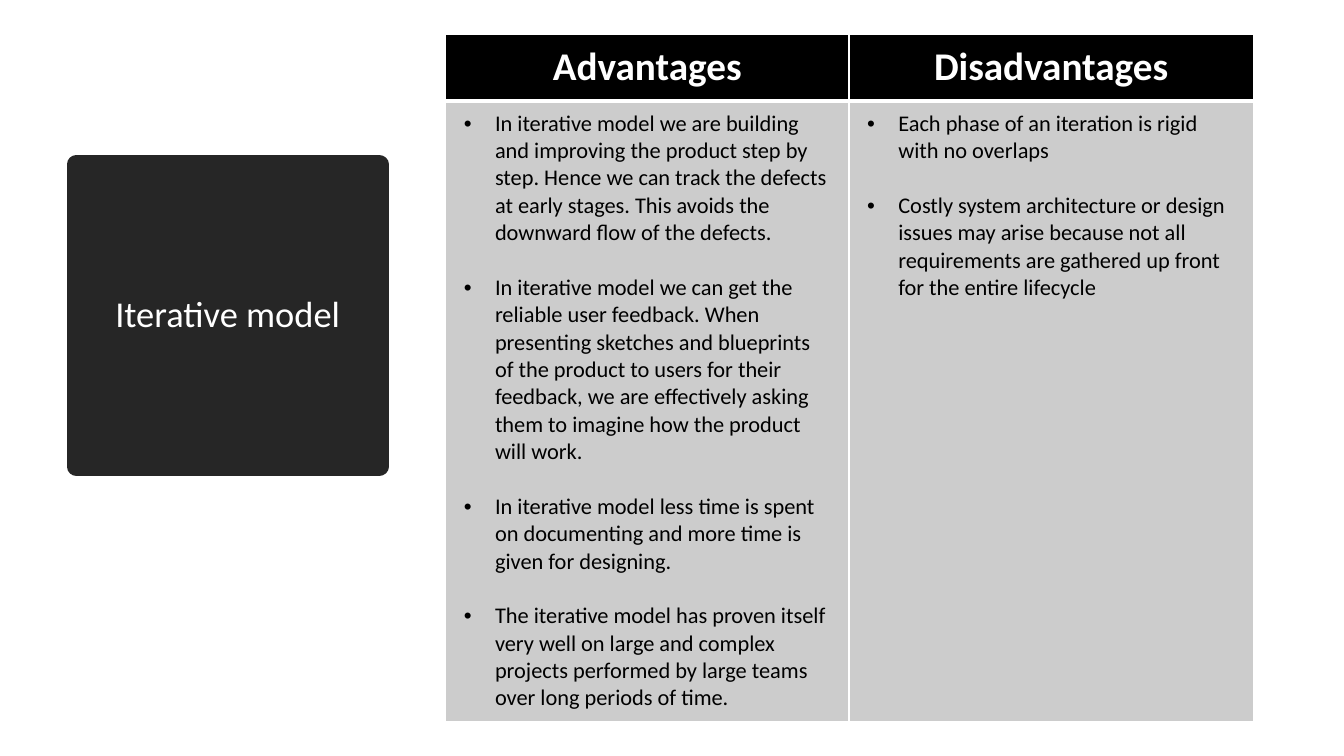
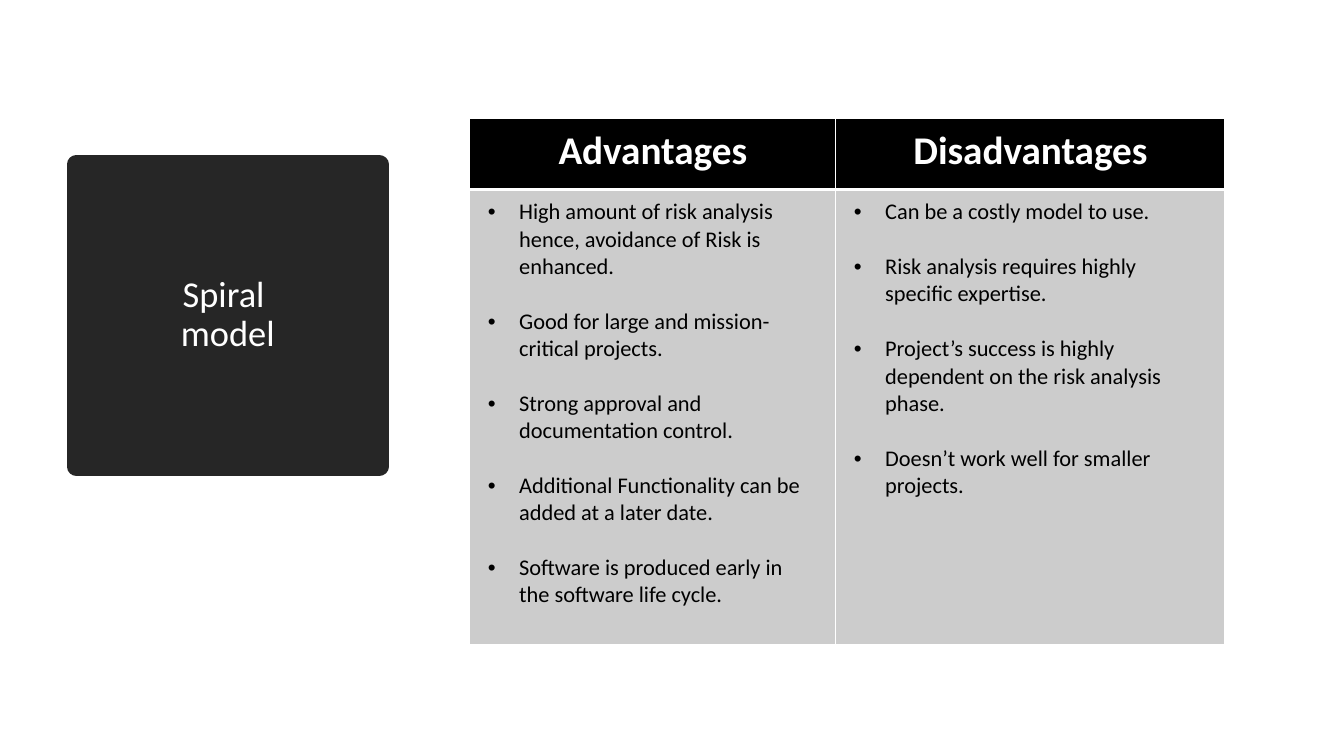
"""Build two slides that weigh the advantages and disadvantages of software process models."""
from lxml.etree import SubElement
from pptx import Presentation
from pptx.dml.color import RGBColor
from pptx.enum.text import MSO_ANCHOR as Anchor, PP_ALIGN as Align
from pptx.oxml.ns import qn
from pptx.util import Inches, Pt

COLORS = {"badge": "262626", "header": "000000", "body": "CCCCCC", "light": "FFFFFF", "dark": "000000"}
FONT = "Calibri"
HEADINGS = ("Advantages", "Disadvantages")
BULLET_INDENT = Inches(0.31)
BULLET_GAP = Pt(19.5)

MODELS = [
    {
        "title": "Iterative model",
        "corner": (4.42, 0.34), "columns": (4, 4.01), "rows": (0.66, 6.16),
        "points": [
            ["In iterative model we are building and improving the product step by step. Hence we can "
             "track the defects at early stages. This avoids the downward flow of the defects.",
             "In iterative model we can get the reliable user feedback. When presenting sketches and "
             "blueprints of the product to users for their feedback, we are effectively asking them to "
             "imagine how the product will work.",
             "In iterative model less time is spent on documenting and more time is given for designing.",
             "The iterative model has proven itself very well on large and complex projects performed by "
             "large teams over long periods of time."],
            ["Each phase of an iteration is rigid with no overlaps",
             "Costly system architecture or design issues may arise because not all requirements are "
             "gathered up front for the entire lifecycle"],
        ],
    },
    {
        "title": "Spiral \vmodel",
        "corner": (4.66, 1.17), "columns": (3.63, 3.86), "rows": (0.71, 4.52),
        "points": [
            ["High amount of risk analysis hence, avoidance of Risk is enhanced.",
             "Good for large and mission-critical projects.",
             "Strong approval and documentation control.",
             "Additional Functionality can be added at a later date.",
             "Software is produced early in the software life cycle.\u00a0"],
            ["Can be a costly model to use.",
             "Risk analysis requires highly specific expertise.",
             "Project\u2019s success is highly dependent on the risk analysis phase.",
             "Doesn\u2019t work well for smaller projects."],
        ],
    },
]


def style_font(para, size, color, bold=False):
    font = para.font
    font.name, font.size, font.bold = FONT, Pt(size), bold
    font.color.rgb = RGBColor.from_string(COLORS[color])


def style_cell(cell, fill, thick_edge):
    cell.margin_left = cell.margin_right = Inches(0.18)
    cell.margin_top = cell.margin_bottom = Inches(0.09)
    properties = cell._tc.get_or_add_tcPr()
    for edge in ("lnL", "lnR", "lnT", "lnB"):
        width = Pt(3 if edge == thick_edge else 1)
        border = SubElement(properties, qn(f"a:{edge}"), w=str(width))
        paint = SubElement(border, qn("a:solidFill"))
        SubElement(paint, qn("a:srgbClr"), val=COLORS["light"])
    cell.fill.solid()
    cell.fill.fore_color.rgb = RGBColor.from_string(COLORS[fill])


deck = Presentation()
deck.slide_width, deck.slide_height = Inches(13.33), Inches(7.5)
title_only = deck.slide_layouts[5]

for model in MODELS:
    page = deck.slides.add_slide(title_only)

    title = page.shapes.title
    title.left, title.top = Inches(0.76), Inches(1.63)
    title.width = title.height = Inches(3)
    title.fill.solid()
    title.fill.fore_color.rgb = title.line.color.rgb = RGBColor.from_string(COLORS["badge"])
    title.line.width = Pt(13.75)
    title.text_frame.text = model["title"]
    title.text_frame.vertical_anchor = Anchor.MIDDLE
    para = title.text_frame.paragraphs[0]
    para.alignment, para.line_spacing = Align.CENTER, 0.9
    style_font(para, 26, "light")

    left, top = model["corner"]
    size = sum(model["columns"]), sum(model["rows"])
    table = page.shapes.add_table(2, 2, *map(Inches, (left, top, *size))).table
    for row, height in zip(table.rows, model["rows"]):
        row.height = Inches(height)

    for column, (heading, points) in enumerate(zip(HEADINGS, model["points"])):
        table.columns[column].width = Inches(model["columns"][column])

        header = table.cell(0, column)
        style_cell(header, "header", "lnB")
        header.text = heading
        para = header.text_frame.paragraphs[0]
        para.alignment = Align.CENTER
        style_font(para, 28, "light", bold=True)

        body = table.cell(1, column)
        style_cell(body, "body", "lnT")
        body.text = "\n".join(points)
        for index, para in enumerate(body.text_frame.paragraphs):
            style_font(para, 16, "dark")
            para.space_before = BULLET_GAP if index else Pt(0)
            bullet = para._p.get_or_add_pPr()
            bullet.set("marL", str(BULLET_INDENT))
            bullet.set("indent", str(-BULLET_INDENT))
            marker_font = bullet.makeelement(qn("a:buFont"), {"typeface": "Arial"})
            marker = bullet.makeelement(qn("a:buChar"), {"char": "•"})
            bullet.find(qn("a:spcBef")).addnext(marker_font)
            marker_font.addnext(marker)

deck.save("out.pptx")
